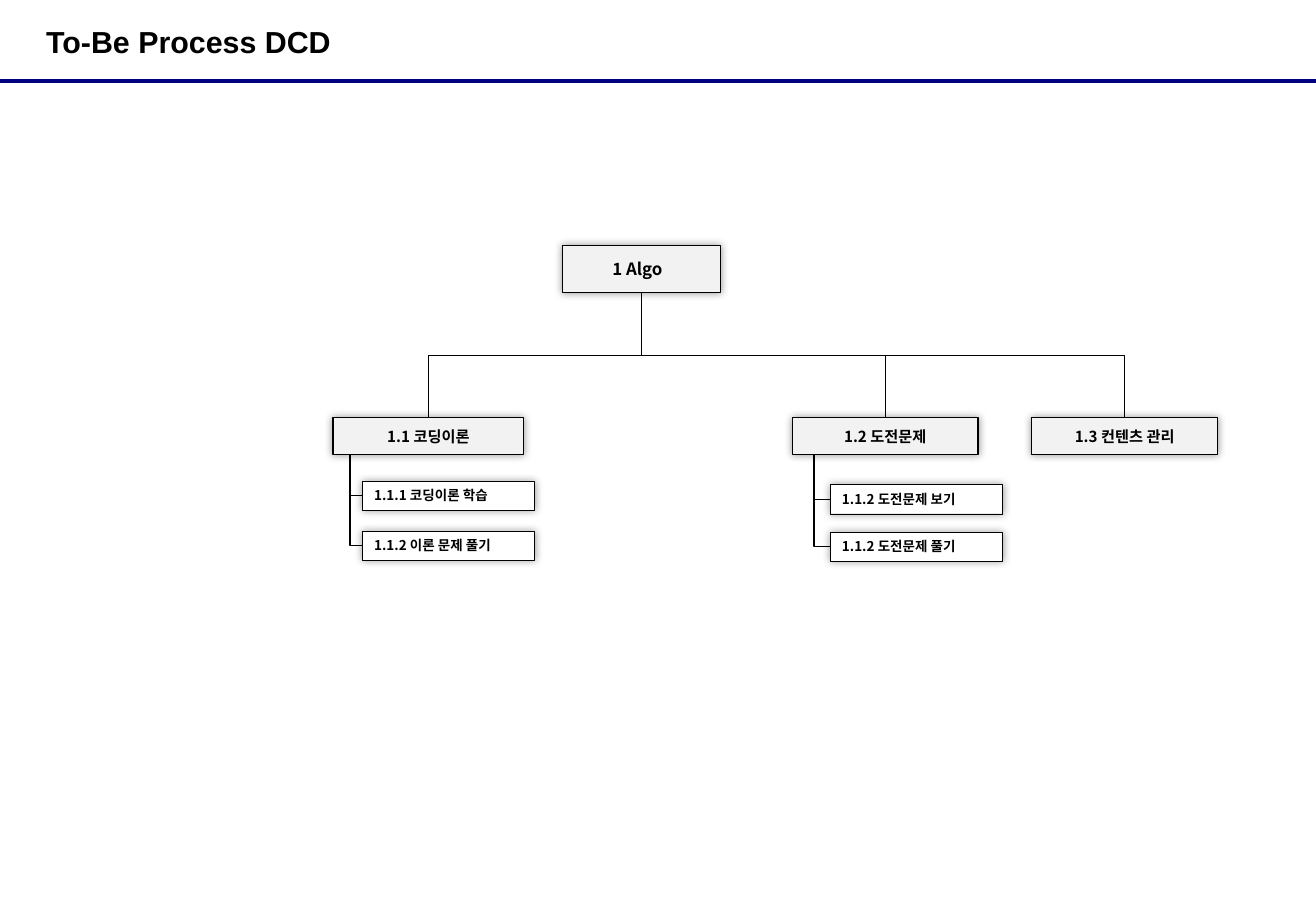
from lxml import etree
from pptx import Presentation
from pptx.dml.color import RGBColor
from pptx.enum.shapes import MSO_CONNECTOR as CONN, MSO_SHAPE as SHAPE
from pptx.enum.text import MSO_ANCHOR as ANCHOR, PP_ALIGN as ALIGN
from pptx.oxml.ns import qn
from pptx.util import Inches, Pt

TITLE = "To-Be Process DCD"
ROOT = ("1 Algo", (4.63, 2.02, 1.3, 0.39))
# label, left, width, stem x, child left, children as (label, top)
BRANCHES = [
    ("1.1 코딩이론", 2.74, 1.57, 2.88, 2.98,
     [("1.1.1 코딩이론 학습", 3.96), ("1.1.2 이론 문제 풀기", 4.37)]),
    ("1.2 도전문제", 6.52, 1.53, 6.7, 6.83,
     [("1.1.2 도전문제 보기", 3.99), ("1.1.2 도전문제 풀기", 4.38)]),
    ("1.3 컨텐츠 관리", 8.49, 1.53, None, None, []),
]
COLORS = {"ink": "000000", "rule": "000080", "group": "F2F2F2", "leaf": "FFFFFF"}
LATIN, KOREAN = "Arial", "Noto Sans CJK KR"
WIDTH, HEIGHT = 10.83, 7.5
RULE_Y = 0.67
BRANCH_TOP, BRANCH_H = 3.44, 0.3
LEAF_W, LEAF_H = 1.42, 0.24

prs = Presentation()
prs.slide_width, prs.slide_height = Inches(WIDTH), Inches(HEIGHT)
slide = prs.slides.add_slide(prs.slide_layouts[6])


def rgb(name):
    return RGBColor.from_string(COLORS[name])


def write(sp, text, size, font=KOREAN, align=ALIGN.LEFT, insets=(0.1, 0.05, 0.1, 0.05)):
    tf = sp.text_frame
    tf.word_wrap = True
    tf.vertical_anchor = ANCHOR.MIDDLE
    tf.margin_left, tf.margin_top, tf.margin_right, tf.margin_bottom = map(Inches, insets)
    p = tf.paragraphs[0]
    p.alignment = align
    r = p.add_run()
    r.text = text
    r.font.size, r.font.bold, r.font.name = Pt(size), True, font
    r.font.color.rgb = rgb("ink")
    etree.SubElement(r.font._element, qn("a:ea"), typeface=font)


def add_glow(sp):
    """Give the shape a soft, centred shadow."""
    sp.shadow.inherit = False
    effects = sp._element.spPr.find(qn("a:effectLst"))
    shadow = etree.SubElement(effects, qn("a:outerShdw"), blurRad=str(Pt(5)), dist="0",
                              algn="ctr", rotWithShape="0")
    color = etree.SubElement(shadow, qn("a:srgbClr"), val=COLORS["ink"])
    etree.SubElement(color, qn("a:alpha"), val="40000")


def add_box(text, at, size, fill="group", line=0.75, **fmt):
    sp = slide.shapes.add_shape(SHAPE.RECTANGLE, *map(Inches, at))
    sp.fill.solid()
    sp.fill.fore_color.rgb = rgb(fill)
    sp.line.color.rgb = rgb("ink")
    sp.line.width = Pt(line)
    add_glow(sp)
    write(sp, text, size, **fmt)
    return sp


def add_line(kind, start, end, color="ink", width=0.75):
    cx = slide.shapes.add_connector(kind, *start, *end)
    cx.line.color.rgb = rgb(color)
    cx.line.width = Pt(width)
    etree.SubElement(cx._element.spPr, qn("a:effectLst"))
    return cx


def turn_down(cx, start, end):
    """Rotate an elbow connector so that it leaves its start downwards."""
    (x1, y1), (x2, y2) = start, end
    across, down = abs(x2 - x1), y2 - y1
    cx.left, cx.top = (x1 + x2 - down) // 2, (y1 + y2 - across) // 2
    cx.width, cx.height = down, across
    xfrm = cx._element.spPr.find(qn("a:xfrm"))
    xfrm.attrib.pop("flipH", None)
    xfrm.set("rot", str((270 if x2 > x1 else 90) * 60000))
    if x2 > x1:
        xfrm.set("flipH", "1")


def join_boxes(parent, child):
    start = (parent.left + parent.width // 2, parent.top + parent.height)
    end = (child.left + child.width // 2, child.top)
    cx = add_line(CONN.ELBOW, start, end)
    cx.begin_connect(parent, 2)
    cx.end_connect(child, 0)
    turn_down(cx, start, end)


def hang_leaf(stem_x, parent, leaf):
    """Draw a one-bend line from the parent's lower edge to the leaf's left side."""
    start = (Inches(stem_x), parent.top + parent.height)
    end = (leaf.left, leaf.top + leaf.height // 2)
    cx = add_line(CONN.ELBOW, start, end)
    cx._element.spPr.find(qn("a:prstGeom")).set("prst", "bentConnector2")
    turn_down(cx, start, end)


add_line(CONN.STRAIGHT, (0, Inches(RULE_Y)), (Inches(WIDTH), Inches(RULE_Y)), "rule", 2.25)
title = slide.shapes.add_textbox(*map(Inches, (0.38, 0, 7.08, 0.68)))
write(title, TITLE, 18, font=LATIN, insets=(0, 0, 0, 0))

root = add_box(*ROOT, 10, align=ALIGN.CENTER, insets=(0.03, 0.05, 0.1, 0.05))
for label, left, width, stem_x, leaf_left, leaves in BRANCHES:
    branch = add_box(label, (left, BRANCH_TOP, width, BRANCH_H), 9, align=ALIGN.CENTER)
    join_boxes(root, branch)
    for leaf_label, top in leaves:
        leaf = add_box(leaf_label, (leaf_left, top, LEAF_W, LEAF_H), 8, fill="leaf", line=0.25)
        hang_leaf(stem_x, branch, leaf)

prs.save("out.pptx")
